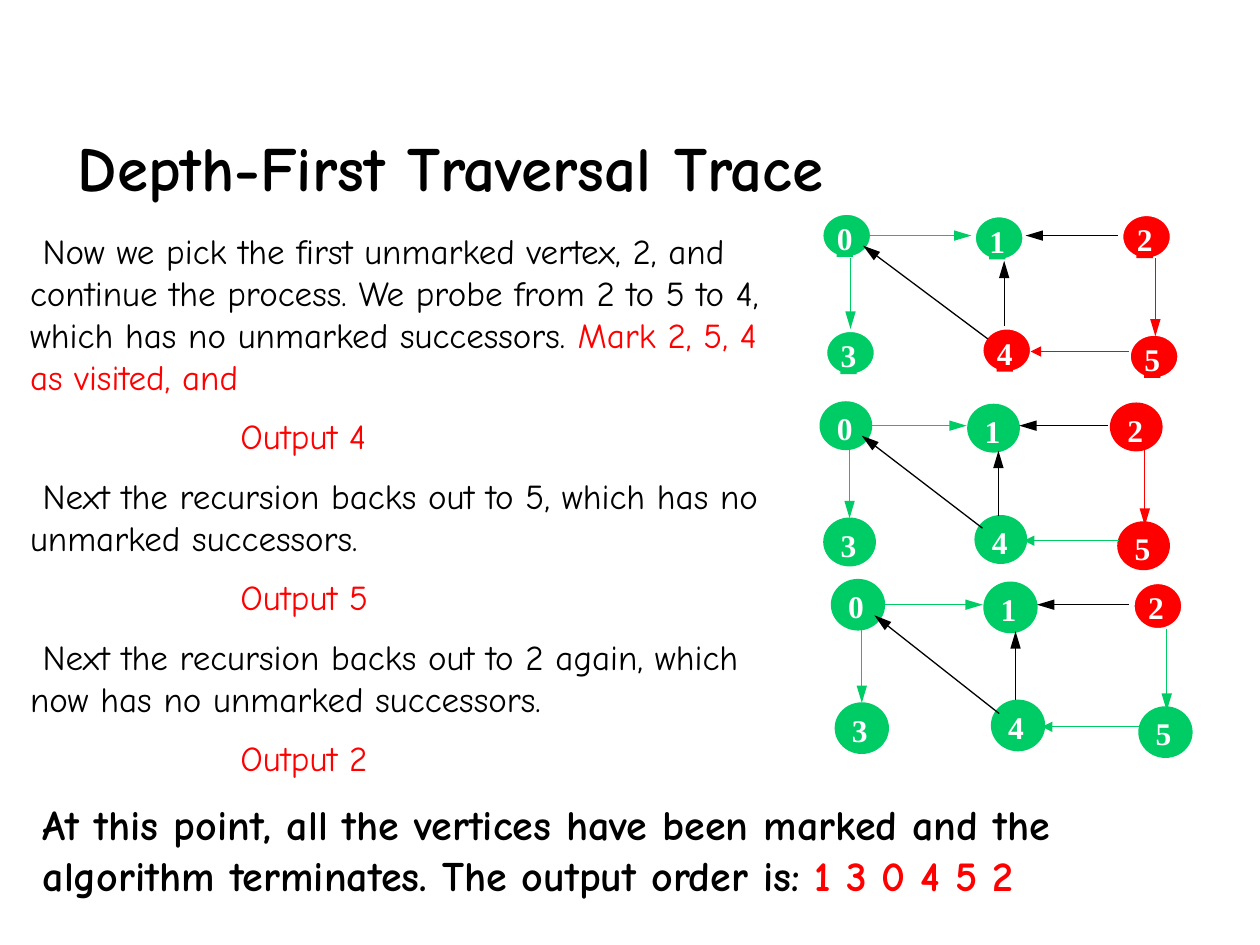
from dataclasses import dataclass

from lxml import etree
from pptx import Presentation
from pptx import util as u
from pptx.dml.color import RGBColor
from pptx.enum import shapes, text
from pptx.oxml import ns


@dataclass(frozen=True)
class Theme:
    """Colours, fonts and type sizes of the slide."""
    ink: str = "000000"
    paper: str = "FFFFFF"
    green: str = "00CC66"
    red: str = "FF0000"
    prose: str = "Comic Neue"
    digits: str = "Times New Roman"
    title: int = 36
    body: int = 20
    closing: int = 24
    vertex: int = 18


THEME = Theme()
REFERENCE = (2.84, 1.32)
VERTEX = (0.4, 0.36)
VERTICES = {"4": (1.27, 0.91), "3": (0.03, 0.93), "5": (2.44, 0.96),
            "2": (2.38, 0.01), "1": (1.21, 0.02), "0": (0, 0)}
EDGES = {"03": (0.23, 0.36, 0.23, 0.92), "01": (0.37, 0.18, 1.19, 0.18),
         "40": (1.32, 1.0, 0.33, 0.26), "41": (1.45, 0.9, 1.45, 0.38),
         "54": (2.44, 1.1, 1.66, 1.1), "25": (2.65, 0.36, 2.65, 0.98),
         "21": (2.35, 0.18, 1.62, 0.18)}
BLACK_EDGES = {"40", "41", "21"}
TRACES = [
    {"box": (6.52, 1.69, 2.84, 1.32), "red": {"2", "4", "5", "54", "25"}, "rimmed": set(VERTICES)},
    {"box": (6.52, 3.2, 2.75, 1.31), "red": {"2", "5", "25"}, "rimmed": set()},
    {"box": (6.61, 4.61, 2.84, 1.39), "red": {"2"}, "rimmed": {"2"}},
]
STEPS = [
    (0.1, [("Now we pick the first unmarked vertex, 2, and continue the process. We probe "
            "from 2 to 5 to 4, which has no unmarked successors. ", THEME.ink),
           ("Mark 2, 5, 4 as visited, and", THEME.red)]),
    (1.67, [("Output 4", THEME.red)]),
    (0.1, [("Next the recursion backs out to 5, which has no unmarked successors.", THEME.ink)]),
    (1.67, [("Output 5", THEME.red)]),
    (0.1, [("Next the recursion backs out to 2 again, which now has no unmarked successors.",
            THEME.ink)]),
    (1.67, [("Output 2", THEME.red)]),
]
CLOSING = [
    (0, [("At this point, all the vertices have been marked and the algorithm terminates. "
          "The output order is: ", THEME.ink), ("1 3 0 4 5 2", THEME.red)]),
]


def apply(target, values):
    """Set each attribute of target from a dict of format values."""
    for name, value in values.items():
        setattr(target, name, value)


def add_run(paragraph, words, colour, font):
    """Add a run of words in the given colour and font values."""
    run = paragraph.add_run()
    run.text = words
    apply(run.font, font)
    run.font.color.rgb = RGBColor.from_string(colour)


def add_prose(slide, box, paragraphs, size, bold=False, anchor=text.MSO_ANCHOR.TOP):
    """Place paragraphs, each a first-line indent and its coloured runs, in the box."""
    frame = slide.shapes.add_textbox(*map(u.Inches, box)).text_frame
    apply(frame, {"word_wrap": True, "vertical_anchor": anchor})
    for index, (indent, runs) in enumerate(paragraphs):
        paragraph = frame.add_paragraph() if index else frame.paragraphs[0]
        if index:
            paragraph.space_before = u.Pt(size / 2)
        if indent:
            properties = paragraph._p.get_or_add_pPr()
            properties.set("marL", "0")
            properties.set("indent", str(u.Inches(indent)))
        for words, colour in runs:
            add_run(paragraph, words, colour,
                    {"name": THEME.prose, "size": u.Pt(size), "bold": bold})


def add_filled(group, preset, box, fill, line, width):
    """Add a flat shape to the group, with no outline when line is None."""
    shape = group.shapes.add_shape(preset, *map(u.Inches, box))
    shape.shadow.inherit = False
    shape.fill.solid()
    shape.fill.fore_color.rgb = RGBColor.from_string(fill)
    if line:
        shape.line.color.rgb = RGBColor.from_string(line)
        shape.line.width = u.Pt(width)
    else:
        shape.line.fill.background()
    return shape


def add_vertex(group, box, digit, colour, rimmed):
    """Draw a numbered vertex that fills the box."""
    left, top = box[:2]
    add_filled(group, shapes.MSO_SHAPE.OVAL, box, colour, THEME.paper if rimmed else colour, 2.25)
    label = add_filled(group, shapes.MSO_SHAPE.RECTANGLE, (left + 0.12, top + 0.05, 0.13, 0.3),
                       colour, None if rimmed else colour, 0.75)
    frame = label.text_frame
    apply(frame, {"margin_left": 0, "margin_top": 0, "margin_right": 0, "margin_bottom": 0,
                  "word_wrap": False, "auto_size": text.MSO_AUTO_SIZE.SHAPE_TO_FIT_TEXT,
                  "vertical_anchor": text.MSO_ANCHOR.TOP})
    frame.paragraphs[0].alignment = text.PP_ALIGN.CENTER
    add_run(frame.paragraphs[0], digit, THEME.paper,
            {"name": THEME.digits, "size": u.Pt(THEME.vertex), "bold": True})


def add_edge(group, ends, colour, head_length):
    """Draw an arrow along the four end coordinates."""
    edge = group.shapes.add_connector(shapes.MSO_CONNECTOR.STRAIGHT, *map(u.Inches, ends))
    edge.line.color.rgb = RGBColor.from_string(colour)
    edge.line.width = u.Pt(0.75)
    etree.SubElement(edge.line._get_or_add_ln(), ns.qn("a:tailEnd"),
                     type="triangle", w="med", len=head_length)
    etree.SubElement(edge._element.spPr, ns.qn("a:effectLst"))


def add_trace(slide, box, red, rimmed):
    """Draw one state of the graph, scaled to the box."""
    group = slide.shapes.add_group_shape()
    left, top, width, height = box
    across, down = width / REFERENCE[0], height / REFERENCE[1]
    for digit, (x, y) in VERTICES.items():
        vertex_box = (left + x * across, top + y * down, VERTEX[0] * across, VERTEX[1] * down)
        add_vertex(group, vertex_box, digit, THEME.red if digit in red else THEME.green,
                   digit in rimmed)
    for name, (x1, y1, x2, y2) in EDGES.items():
        ends = (left + x1 * across, top + y1 * down, left + x2 * across, top + y2 * down)
        colour = THEME.ink if name in BLACK_EDGES else THEME.red if name in red else THEME.green
        add_edge(group, ends, colour, "med" if name == "54" else "lg")


def main():
    """Build the traversal slide and save it."""
    deck = Presentation()
    apply(deck, {"slide_width": u.Inches(10), "slide_height": u.Inches(7.5)})
    slide = deck.slides.add_slide(deck.slide_layouts[6])
    add_prose(slide, (0.52, 0.94, 8.64, 0.73),
              [(0, [("Depth-First Traversal Trace", THEME.ink)])],
              THEME.title, True, text.MSO_ANCHOR.BOTTOM)
    add_prose(slide, (0.14, 1.77, 6.26, 5.15), STEPS, THEME.body)
    for trace in TRACES:
        add_trace(slide, **trace)
    add_prose(slide, (0.24, 6.29, 9.19, 1.31), CLOSING, THEME.closing, True)
    deck.save("out.pptx")


if __name__ == "__main__":
    main()
